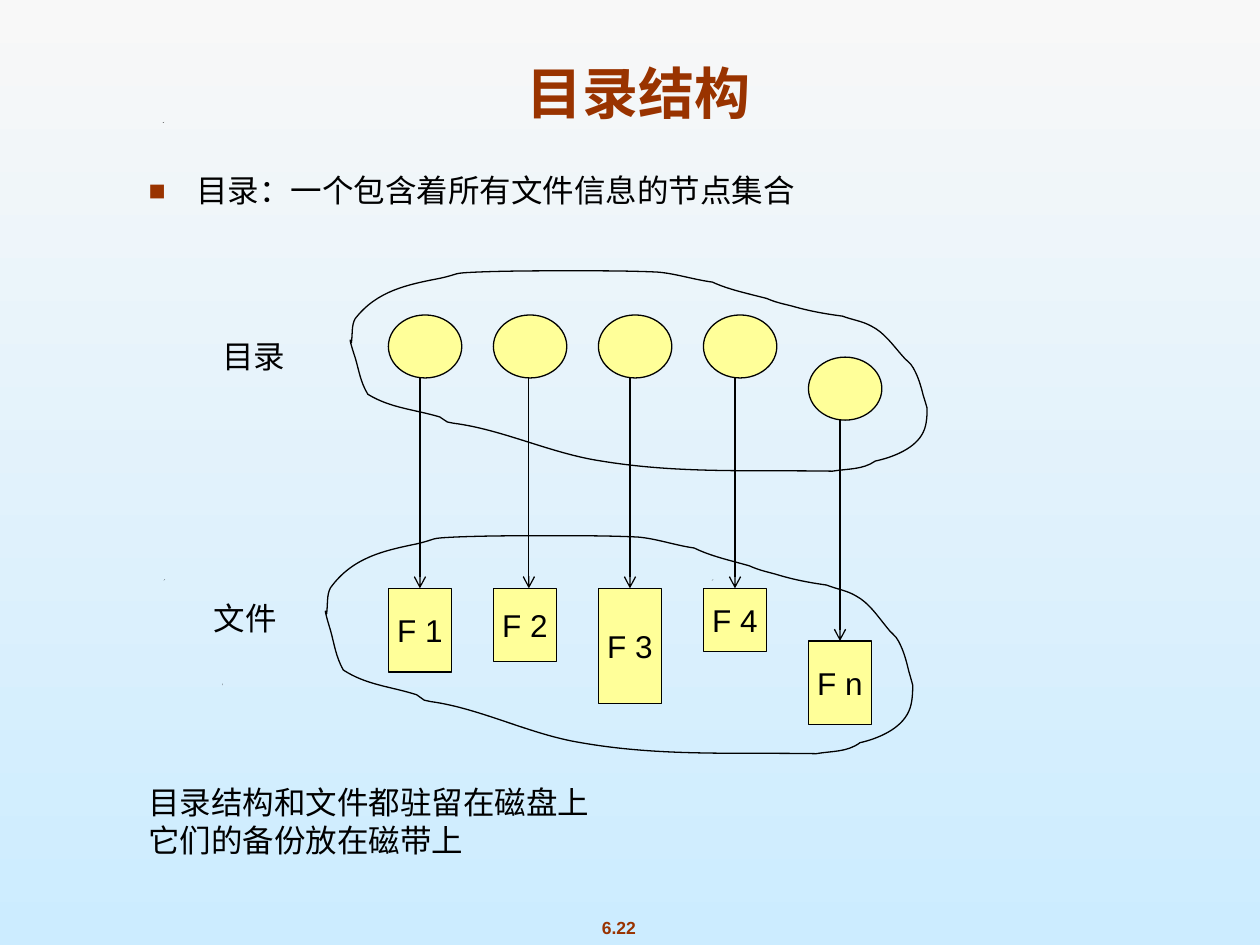
import pptx
import pptx.util
import pptx.dml.color
import pptx.enum.shapes
import pptx.enum.text
import pptx.oxml
import pptx.oxml.ns
from pptx.util import Cm

ALIGN = pptx.enum.text.PP_ALIGN
ANCHOR = pptx.enum.text.MSO_ANCHOR
SHAPE = pptx.enum.shapes.MSO_SHAPE
NS = pptx.oxml.ns.nsdecls("a")

# Content
TITLE = "目录结构"
BULLET = "目录：一个包含着所有文件信息的节点集合"
NOTES = ["目录结构和文件都驻留在磁盘上", "它们的备份放在磁带上"]
PAGE = "6.22"
# file name, box height, drop of the circle, drop of the box, arrow shift (cm)
FILES = [
    ("F 1", 1.69, 0, 0, 0),
    ("F 2", 1.48, 0, 0, 0.08),
    ("F 3", 2.33, 0, 0, 0),
    ("F 4", 1.27, 0, 0, 0),
    ("F n", 1.69, 0.85, 1.06, 0),
]
# label, label box, cloud box (cm)
GROUPS = [
    ("目录", (4.23, 6.66, 1.78, 1.02), (7.06, 5.46, 11.63, 4.09)),
    ("文件", (4.05, 11.95, 1.78, 1.02), (6.56, 10.8, 11.84, 4.45)),
]
# Template specks: left, top (cm), rotation
SPECKS = [(4.47, 13.79, 139.4), (3.3, 11.68, 177.8), (14.35, 11.68, 0), (3.28, 2.46, 0)]
SPECK_OUTLINE = [(0.03, 0), (0.01, 0.02), (0, 0.02)]

# Cloud outline on a 457 x 161 grid: start, then two controls and an end per curve
CLOUD_SIZE = (457, 161)
CLOUD_START = (1, 57)
CLOUD_CURVES = [
    (2, 50, 1, 43, 4, 38), (21, 16, 45, 11, 71, 6), (89, 2, 79, 2, 101, 1),
    (126, 0, 151, 0, 177, 0), (199, 0, 221, 0, 243, 1), (257, 2, 272, 7, 287, 9),
    (300, 15, 315, 18, 330, 22), (337, 25, 342, 26, 350, 28),
    (364, 32, 375, 34, 390, 36), (398, 39, 406, 40, 413, 44),
    (423, 49, 430, 59, 437, 67), (440, 71, 444, 73, 446, 77),
    (450, 84, 452, 91, 454, 99), (455, 102, 457, 109, 457, 109),
    (457, 113, 457, 122, 454, 128), (448, 141, 430, 148, 416, 151),
    (406, 158, 394, 157, 382, 159), (318, 158, 260, 161, 199, 151),
    (159, 145, 121, 126, 82, 121), (80, 121, 79, 120, 77, 120),
    (75, 119, 73, 117, 71, 116), (51, 110, 32, 109, 14, 98),
    (8, 88, 7, 79, 4, 69), (4, 69, 0, 57, 0, 55), (0, 54, 1, 56, 1, 57),
]

# Layout (cm)
COL_LEFT, COL_STEP = 7.83, 2.117
CIRCLE_TOP, CIRCLE_W, CIRCLE_H = 6.35, 1.48, 1.27
BOX_TOP, BOX_W = 11.86, 1.27

THEME = {
    "font": "Arial",
    "accent": "993300", "ink": "000000", "node": "FFFF99",
    "sky": ("F8F8F8", "CCECFF"),
    "title": {"size": 32, "bold": True, "color": "993300"},
    "text": {"size": 18, "bold": False, "color": "000000"},
    "page": {"size": 10, "bold": True, "color": "993300"},
    "line": 0.75,
}


def rgb(value):
    return pptx.dml.color.RGBColor.from_string(value)


def write(shape, lines, style, align=ALIGN.LEFT, **frame):
    tf = shape.text_frame
    frame = {"auto_size": pptx.enum.text.MSO_AUTO_SIZE.NONE, "word_wrap": True, **frame}
    for name, value in frame.items():
        setattr(tf, name, value)
    fmt = THEME[style]
    values = {"name": THEME["font"], "size": pptx.util.Pt(fmt["size"]), "bold": fmt["bold"]}
    for i, line in enumerate(lines):
        p = tf.add_paragraph() if i else tf.paragraphs[0]
        p.alignment = align
        p.space_before = pptx.util.Pt(0)
        r = p.add_run()
        r.text = line
        for name, value in values.items():
            setattr(r.font, name, value)
        r.font.color.rgb = rgb(fmt["color"])
    return tf


def place(shape, box):
    for name, value in zip(("left", "top", "width", "height"), box):
        setattr(shape, name, Cm(value))


def add_text(s, box, lines, style, **options):
    sp = s.shapes.add_textbox(*map(Cm, box))
    return write(sp, lines, style, **options)


def paint(shape, color):
    shape.shadow.inherit = False
    shape.fill.solid()
    shape.fill.fore_color.rgb = rgb(color)


def outline(shape):
    shape.line.color.rgb = rgb(THEME["ink"])
    shape.line.width = pptx.util.Pt(THEME["line"])


def add_node(s, kind, box):
    sp = s.shapes.add_shape(kind, *map(Cm, box))
    paint(sp, THEME["node"])
    outline(sp)
    return sp


def add_arrow(s, x, top, box, joined):
    c = s.shapes.add_connector(pptx.enum.shapes.MSO_CONNECTOR.STRAIGHT, x, top, x, box.top)
    if joined:
        c.end_connect(box, 0)
    outline(c)
    c.line._get_or_add_ln().append(pptx.oxml.parse_xml(f'<a:tailEnd {NS} type="arrow"/>'))
    c._element.spPr.append(pptx.oxml.parse_xml(f"<a:effectLst {NS}/>"))


def add_speck(s, left, top, rotation):
    points = [(Cm(left + x), Cm(top + y)) for x, y in SPECK_OUTLINE]
    builder = s.shapes.build_freeform(*points[-1])
    builder.add_line_segments(points, close=True)
    sp = builder.convert_to_shape()
    paint(sp, THEME["ink"])
    sp.line.fill.background()
    sp.rotation = rotation


def add_cloud(s, box):
    builder = s.shapes.build_freeform(*CLOUD_START)
    builder.add_line_segments([curve[4:] for curve in CLOUD_CURVES], close=True)
    sp = builder.convert_to_shape()
    place(sp, box)
    # Turn the segments into curves on the cloud grid
    outline_path = sp._element.find(".//" + pptx.oxml.ns.qn("a:path"))
    for name, value in zip("wh", CLOUD_SIZE):
        outline_path.set(name, str(value))
    start = outline_path[0][0]
    for name, value in zip("xy", CLOUD_START):
        start.set(name, str(value))
    for segment, curve in zip(list(outline_path)[1:], CLOUD_CURVES):
        pts = "".join(f'<a:pt x="{x}" y="{y}"/>' for x, y in zip(curve[::2], curve[1::2]))
        bezier = pptx.oxml.parse_xml(f"<a:cubicBezTo {NS}>{pts}</a:cubicBezTo>")
        outline_path.replace(segment, bezier)
    sp.shadow.inherit = False
    sp.fill.background()
    outline(sp)


def add_bullet(p):
    pPr = p._p.get_or_add_pPr()
    pPr.set("marL", str(Cm(0.96)))
    pPr.set("indent", str(-Cm(0.96)))
    for xml in (f'<a:buClr {NS}><a:srgbClr val="{THEME["accent"]}"/></a:buClr>',
                f'<a:buSzPct {NS} val="90000"/>',
                f'<a:buFont {NS} typeface="{THEME["font"]}"/>',
                f'<a:buChar {NS} char="■"/>'):
        pPr.append(pptx.oxml.parse_xml(xml))


def main():
    prs = pptx.Presentation()
    prs.slide_width, prs.slide_height = Cm(25.4), Cm(19.05)
    s = prs.slides.add_slide(prs.slide_layouts[1])
    title, body = s.placeholders

    # Background and specks
    fill = s.background.fill
    fill.gradient()
    fill.gradient_angle = 270
    for stop, color in zip(fill.gradient_stops, THEME["sky"]):
        stop.color.rgb = rgb(color)
    for speck in SPECKS:
        add_speck(s, *speck)

    # Title and bullet
    place(title, (1.65, 0.97, 22.43, 1.7))
    write(title, [TITLE], "title", align=ALIGN.CENTER, vertical_anchor=ANCHOR.BOTTOM)
    place(body, (2.74, 3.33, 20.22, 1.07))
    add_bullet(write(body, [BULLET], "text").paragraphs[0])

    # Directory entries pointing at files
    for i, (name, height, circle_drop, box_drop, shift) in enumerate(FILES):
        x = COL_LEFT + i * COL_STEP
        circle = add_node(s, SHAPE.OVAL, (x, CIRCLE_TOP + circle_drop, CIRCLE_W, CIRCLE_H))
        box = add_node(s, SHAPE.RECTANGLE, (x, BOX_TOP + box_drop, BOX_W, height))
        write(box, [name], "text", align=ALIGN.CENTER, word_wrap=False,
              vertical_anchor=ANCHOR.MIDDLE)
        add_arrow(s, box.left + box.width // 2 + Cm(shift), circle.top + circle.height,
                  box, joined=not shift)

    # Clouds and their labels
    for label, label_box, cloud_box in GROUPS:
        add_cloud(s, cloud_box)
        add_text(s, label_box, [label], "text", align=ALIGN.CENTER, word_wrap=False,
                 vertical_anchor=ANCHOR.MIDDLE)

    # Closing notes and page number
    add_text(s, (2.74, 15.67, 19.53, 1.93), NOTES, "text")
    add_text(s, (11.23, 18.37, 2.49, 0.69), [PAGE], "page", align=ALIGN.CENTER, word_wrap=False)

    prs.save("out.pptx")


if __name__ == "__main__":
    main()
